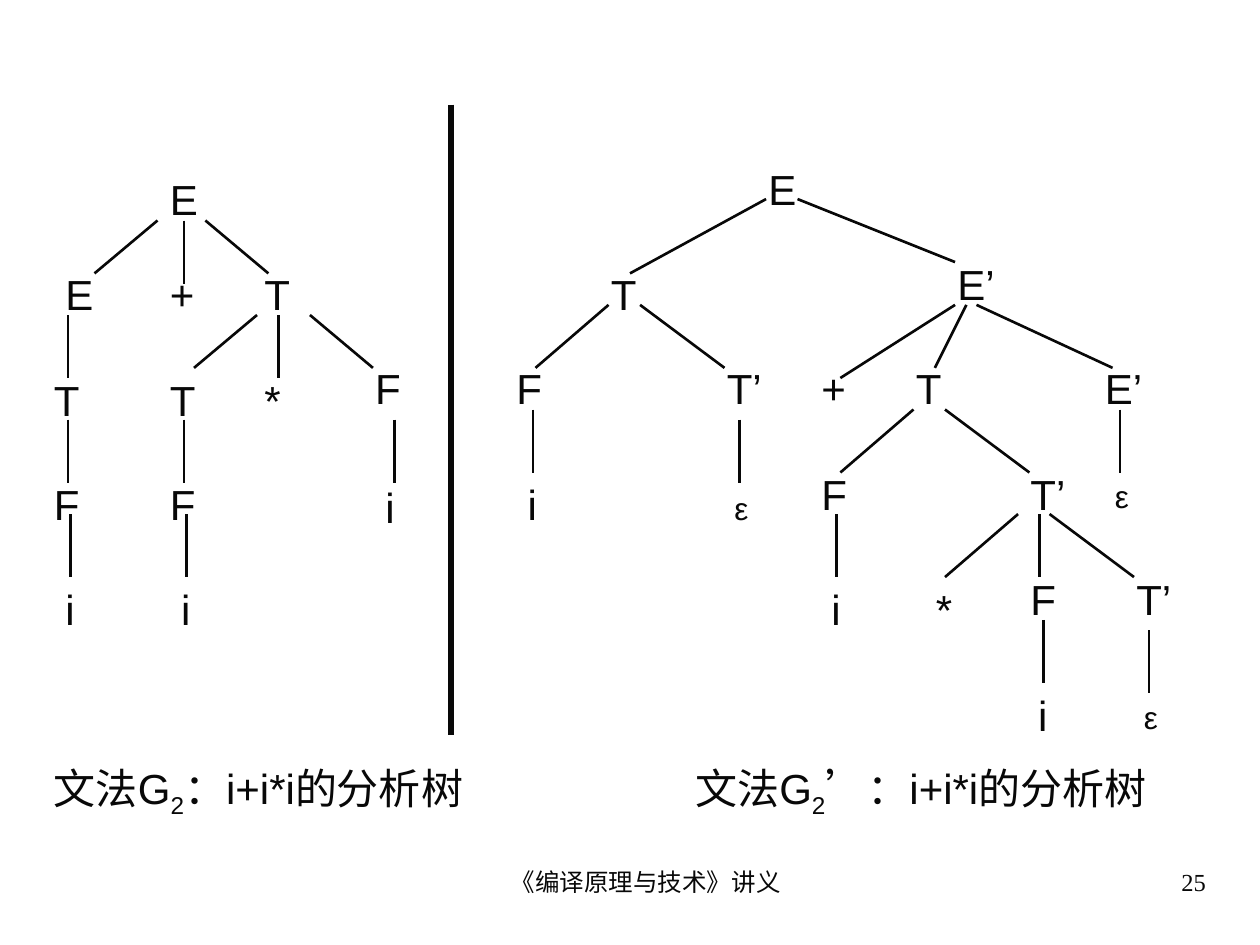
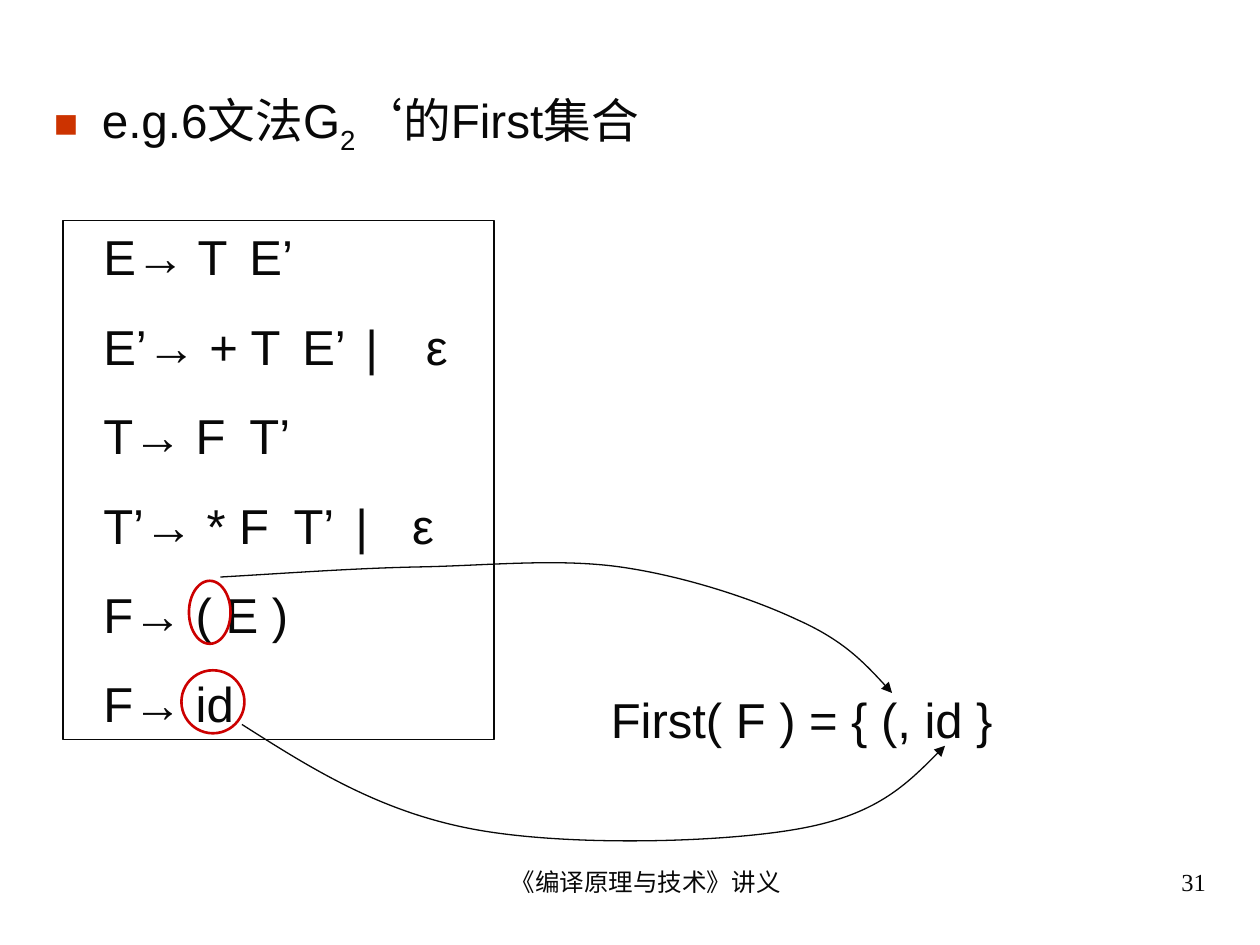
from typing import NamedTuple

from lxml import etree
from pptx import Presentation
from pptx.dml.color import RGBColor
from pptx.enum import shapes, text
from pptx.oxml import ns
from pptx.util import Inches, Pt

INK = "080808"
BULLET = "CC3300"
MARK = "CC0000"
SANS = "Arial"
SERIF = "Times New Roman"
LEAF_WIDTHS = {"i": 0.27, "ε": 0.31}
SYMBOL_WIDTH = 0.67
STEM_LENGTH = 0.5


class Box(NamedTuple):
    left: float
    top: float
    width: float
    height: float


class Symbol(NamedTuple):
    label: str
    left: float
    top: float


class Branch(NamedTuple):
    x1: float
    y1: float
    x2: float
    y2: float


class Stem(NamedTuple):
    x: float
    top: float


class Tree(NamedTuple):
    symbols: list[Symbol]
    branches: list[Branch]
    stems: list[Stem]
    caption_left: float
    prime: str


class Production(NamedTuple):
    rule: str
    tabs: tuple[float, ...] = ()


class Curve(NamedTuple):
    points: list[tuple[float, float]]


G2_TREE = Tree(
    [Symbol("E", 1.25, 1.33),
     Symbol("E", 0.42, 2.08), Symbol("+", 1.25, 2.08), Symbol("T", 2, 2.08),
     Symbol("T", 0.33, 2.92), Symbol("T", 1.25, 2.92), Symbol("*", 2, 2.92), Symbol("F", 2.88, 2.83),
     Symbol("F", 0.33, 3.75), Symbol("F", 1.25, 3.75), Symbol("i", 2.96, 3.77),
     Symbol("i", 0.42, 4.58), Symbol("i", 1.34, 4.58)],
    [Branch(1.25, 1.75, 0.75, 2.17), Branch(1.63, 1.75, 2.13, 2.17),
     Branch(2.04, 2.5, 1.54, 2.92), Branch(2.46, 2.5, 2.96, 2.92)],
    [Stem(1.46, 1.75), Stem(0.54, 2.5), Stem(2.21, 2.5), Stem(0.54, 3.33),
     Stem(1.46, 3.33), Stem(3.13, 3.33), Stem(0.56, 4.08), Stem(1.48, 4.08)],
    0.33, "")

G2_PRIME_TREE = Tree(
    [Symbol("E", 6, 1.25),
     Symbol("T", 4.75, 2.08), Symbol("E’", 7.5, 2),
     Symbol("F", 4, 2.83), Symbol("T’", 5.67, 2.83), Symbol("+", 6.42, 2.83),
     Symbol("T", 7.17, 2.83), Symbol("E’", 8.67, 2.83),
     Symbol("i", 4.09, 3.75), Symbol("ε", 5.73, 3.83), Symbol("F", 6.42, 3.67),
     Symbol("T’", 8.08, 3.67), Symbol("ε", 8.75, 3.74),
     Symbol("i", 6.5, 4.58), Symbol("*", 7.33, 4.58), Symbol("F", 8.08, 4.5), Symbol("T’", 8.92, 4.5),
     Symbol("i", 8.14, 5.42), Symbol("ε", 8.98, 5.49)],
    [Branch(6.08, 1.58, 5, 2.17), Branch(6.33, 1.58, 7.58, 2.08),
     Branch(4.83, 2.42, 4.25, 2.92), Branch(5.08, 2.42, 5.75, 2.92),
     Branch(7.58, 2.42, 6.67, 3), Branch(7.67, 2.42, 7.42, 2.92), Branch(7.75, 2.42, 8.83, 2.92),
     Branch(7.25, 3.25, 6.67, 3.75), Branch(7.5, 3.25, 8.17, 3.75),
     Branch(8.08, 4.08, 7.5, 4.58), Branch(8.33, 4.08, 9, 4.58)],
    [Stem(4.23, 3.25), Stem(5.87, 3.33), Stem(8.89, 3.25), Stem(6.64, 4.08),
     Stem(8.25, 4.08), Stem(8.28, 4.92), Stem(9.12, 5)],
    5.42, "’")

PRODUCTIONS = [
    Production("E→ T\tE’", (1.16,)),
    Production("E’→ + T\tE’\t|\tε", (1.58, 2.08, 2.56)),
    Production("T→ F\tT’", (1.16,)),
    Production("T’→ * F\tT’\t|\tε", (1.51, 2, 2.45)),
    Production("F→ ( E )"),
    Production("F→ id"),
]
FIRST_TERMINALS = [Box(1.44, 5.32, 0.5, 0.5), Box(1.5, 4.61, 0.33, 0.5)]
TERMINAL_ARROWS = [
    Curve([(1.92, 5.75), (2.47, 6.1), (3.01, 6.44), (3.75, 6.58),
           (4.49, 6.72), (5.71, 6.69), (6.33, 6.58),
           (6.96, 6.47), (7.23, 6.19), (7.5, 5.92)]),
    Curve([(1.75, 4.58), (2.28, 4.55), (2.81, 4.51), (3.33, 4.5),
           (3.86, 4.49), (4.42, 4.43), (4.92, 4.5),
           (5.42, 4.57), (5.97, 4.75), (6.33, 4.92),
           (6.69, 5.08), (6.89, 5.29), (7.08, 5.5)]),
]


def rgb(value: str) -> RGBColor:
    return RGBColor.from_string(value)


def emu(box: Box) -> list[int]:
    return [Inches(length) for length in box]


def sub(parent, tag: str, **attributes: str):
    return etree.SubElement(parent, ns.qn(tag), attributes)


def format_text(frame, size: float, font: str = SANS) -> None:
    for paragraph in frame.paragraphs:
        for run in paragraph.runs:
            run.font.size = Pt(size)
            run.font.name = font
            run.font.color.rgb = rgb(INK)


def indent(paragraph, left: float, first: float):
    properties = paragraph._p.get_or_add_pPr()
    properties.set("marL", str(Inches(left)))
    properties.set("indent", str(Inches(first)))
    return properties


def add_text(slide, box: Box, words: str, size: float, font: str = SANS, wrap: bool = True):
    frame = slide.shapes.add_textbox(*emu(box)).text_frame
    frame.word_wrap = wrap
    frame.text = words
    format_text(frame, size, font)
    return frame


def add_grammar_text(slide, box: Box, before: str, after: str, size: float):
    frame = add_text(slide, box, before, size)
    paragraph = frame.paragraphs[0]
    subscript, rest = paragraph.add_run(), paragraph.add_run()
    subscript.text, rest.text = "2", after
    format_text(frame, size)
    subscript.font._element.set("baseline", "-25000")
    return paragraph


def add_line(slide, branch: Branch, weight: float = 1.5) -> None:
    line = slide.shapes.add_connector(shapes.MSO_CONNECTOR.STRAIGHT, *[Inches(v) for v in branch])
    line.line.color.rgb = rgb(INK)
    line.line.width = Pt(weight)
    sub(line._element.spPr, "a:effectLst")


def outline(shape, color: str, weight: float) -> None:
    shape.shadow.inherit = False
    shape.fill.background()
    shape.line.color.rgb = rgb(color)
    shape.line.width = Pt(weight)


def add_curved_arrow(slide, curve: Curve) -> None:
    start, *rest = [(Inches(x), Inches(y)) for x, y in curve.points]
    builder = slide.shapes.build_freeform(*start)
    builder.add_line_segments(rest, close=False)
    arrow = builder.convert_to_shape()
    segments = list(arrow._element.iter(ns.qn("a:lnTo")))
    for index in range(0, len(segments), 3):
        bezier = sub(segments[index].getparent(), "a:cubicBezTo")
        for segment in segments[index:index + 3]:
            bezier.append(segment[0])
            segment.getparent().remove(segment)
    outline(arrow, INK, 0.75)
    sub(arrow.line._get_or_add_ln(), "a:tailEnd", type="triangle")


def add_footer(slide, number: int) -> None:
    for box, words, alignment in (
        (Box(3.42, 6.83, 3.17, 0.52), "《编译原理与技术》讲义", text.PP_ALIGN.CENTER),
        (Box(7.17, 6.83, 2.5, 0.52), str(number), text.PP_ALIGN.RIGHT),
    ):
        paragraph = add_text(slide, box, words, 14, SERIF).paragraphs[0]
        paragraph.alignment = alignment
        indent(paragraph, 0.24, 0)


def add_tree(slide, tree: Tree) -> None:
    for label, left, top in tree.symbols:
        width = LEAF_WIDTHS.get(label, SYMBOL_WIDTH)
        size, height = (18, 0.4) if label == "ε" else (24, 0.5)
        add_text(slide, Box(left, top, width, height), label, size, wrap=label not in LEAF_WIDTHS)
    stems = [Branch(x, top, x, top + STEM_LENGTH) for x, top in tree.stems]
    for branch in tree.branches + stems:
        add_line(slide, branch)
    caption = Box(tree.caption_left, 6, 3.83, 0.56)
    add_grammar_text(slide, caption, "文法G", f"{tree.prime}：i+i*i的分析树", 24)


def add_heading(slide) -> None:
    heading = add_grammar_text(slide, Box(0.33, 0.67, 9.34, 0.67), "e.g.6文法G", "‘的First集合", 27.2)
    properties = indent(heading, 0.38, -0.38)
    sub(sub(properties, "a:buClr"), "a:srgbClr", val=BULLET)
    sub(properties, "a:buSzPct", val="85000")
    sub(properties, "a:buFont", typeface=SANS)
    sub(properties, "a:buChar", char="■")


def add_grammar(slide) -> None:
    grammar = slide.shapes.add_shape(shapes.MSO_SHAPE.RECTANGLE, *emu(Box(0.5, 1.75, 3.42, 4.12)))
    outline(grammar, INK, 0.75)
    frame = grammar.text_frame
    frame.word_wrap = True
    frame.vertical_anchor = text.MSO_ANCHOR.TOP
    frame.margin_left = Inches(0.32)
    frame.text = "\n".join(production.rule for production in PRODUCTIONS)
    format_text(frame, 28)
    for index, (paragraph, production) in enumerate(zip(frame.paragraphs, PRODUCTIONS)):
        paragraph.alignment = text.PP_ALIGN.LEFT
        if production.tabs:
            stops = sub(paragraph._p.get_or_add_pPr(), "a:tabLst")
            for position in production.tabs:
                sub(stops, "a:tab", pos=str(Inches(position)), algn="l")
        if index:
            paragraph.space_before = Pt(17.5)


def build_parse_trees(slide) -> None:
    for tree in (G2_TREE, G2_PRIME_TREE):
        add_tree(slide, tree)
    add_line(slide, Branch(3.58, 0.83, 3.58, 5.83), 3)
    add_footer(slide, 25)


def build_first_set(slide) -> None:
    add_heading(slide)
    add_grammar(slide)
    add_text(slide, Box(4.75, 5.42, 4.33, 0.57), "First( F ) = { (, id }", 28)
    for box in FIRST_TERMINALS:
        outline(slide.shapes.add_shape(shapes.MSO_SHAPE.OVAL, *emu(box)), MARK, 1.5)
    for curve in TERMINAL_ARROWS:
        add_curved_arrow(slide, curve)
    add_footer(slide, 31)


def main() -> None:
    deck = Presentation()
    deck.slide_width, deck.slide_height = Inches(10), Inches(7.5)
    for build in (build_parse_trees, build_first_set):
        build(deck.slides.add_slide(deck.slide_layouts[6]))
    deck.save("out.pptx")


if __name__ == "__main__":
    main()
